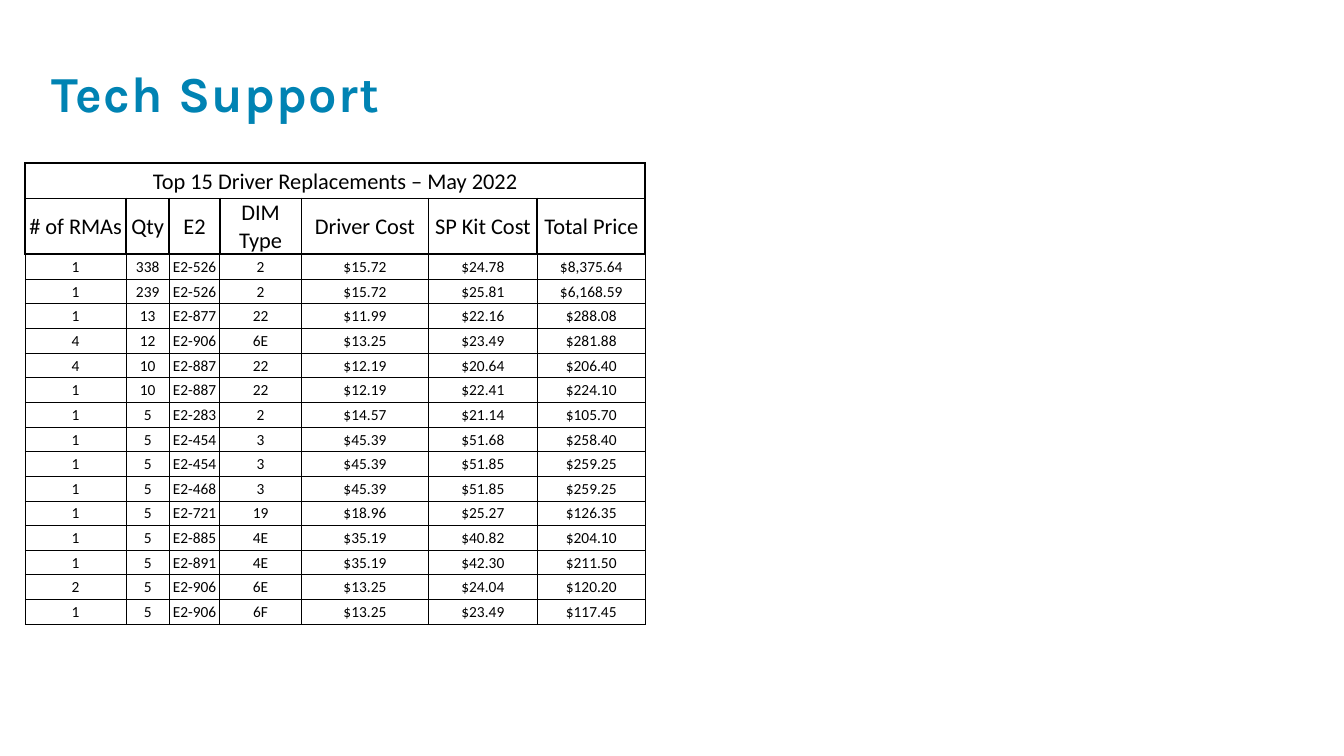
from lxml.etree import SubElement
from pptx import Presentation
from pptx.dml.color import RGBColor
from pptx.enum.text import MSO_ANCHOR, PP_ALIGN
from pptx.oxml.ns import qn
from pptx.util import Inches, Pt

BLUE = RGBColor(0x00, 0x83, 0xB3)
BLACK = RGBColor(0x00, 0x00, 0x00)
THIN, THICK = 0.5, 1.5

CAPTION = "Top 15 Driver Replacements – May 2022"
HEADERS = ["# of RMAs", "Qty", "E2", "DIM Type", "Driver Cost", "SP Kit Cost", "Total Price"]
DRIVERS = [
    ("1", "338", "E2-526", "2", "$15.72", "$24.78", "$8,375.64"),
    ("1", "239", "E2-526", "2", "$15.72", "$25.81", "$6,168.59"),
    ("1", "13", "E2-877", "22", "$11.99", "$22.16", "$288.08"),
    ("4", "12", "E2-906", "6E", "$13.25", "$23.49", "$281.88"),
    ("4", "10", "E2-887", "22", "$12.19", "$20.64", "$206.40"),
    ("1", "10", "E2-887", "22", "$12.19", "$22.41", "$224.10"),
    ("1", "5", "E2-283", "2", "$14.57", "$21.14", "$105.70"),
    ("1", "5", "E2-454", "3", "$45.39", "$51.68", "$258.40"),
    ("1", "5", "E2-454", "3", "$45.39", "$51.85", "$259.25"),
    ("1", "5", "E2-468", "3", "$45.39", "$51.85", "$259.25"),
    ("1", "5", "E2-721", "19", "$18.96", "$25.27", "$126.35"),
    ("1", "5", "E2-885", "4E", "$35.19", "$40.82", "$204.10"),
    ("1", "5", "E2-891", "4E", "$35.19", "$42.30", "$211.50"),
    ("2", "5", "E2-906", "6E", "$13.25", "$24.04", "$120.20"),
    ("1", "5", "E2-906", "6F", "$13.25", "$23.49", "$117.45"),
]
COLUMN_WIDTHS = [1, 0.43, 0.5, 0.81, 1.26, 1.08, 1.07]
CAPTION_HEIGHT, HEADER_HEIGHT, WRAPPED_HEADER_HEIGHT = 0.35, 0.33, 0.55


def add_run(p, text, font, size, color, bold=False):
    r = p.add_run()
    r.text = text
    r.font.name, r.font.size, r.font.bold = font, Pt(size), bold
    r.font.color.rgb = color
    return r


def set_borders(cell, **widths):
    """Draw black cell borders; keywords are L, R, T, B in points."""
    tcPr = cell._tc.get_or_add_tcPr()
    for i, side in enumerate("LRTB"):
        ln = tcPr.makeelement(qn(f"a:ln{side}"), {"w": str(Pt(widths[side]))})
        fill = SubElement(ln, qn("a:solidFill"))
        SubElement(fill, qn("a:srgbClr"), val=str(BLACK))
        tcPr.insert(i, ln)  # borders come before the fill


def fill_cell(cell, text, size):
    cell.fill.background()
    cell.margin_left = cell.margin_right = cell.margin_top = Inches(0.01)
    cell.margin_bottom = 0
    cell.vertical_anchor = MSO_ANCHOR.MIDDLE
    p = cell.text_frame.paragraphs[0]
    p.alignment = PP_ALIGN.CENTER
    if text:
        add_run(p, text, "Calibri", size, BLACK)


def add_title(s, text, left, top, width, height):
    title = s.shapes.title
    title.left, title.top = Inches(left), Inches(top)
    title.width, title.height = Inches(width), Inches(height)
    tf = title.text_frame
    tf.word_wrap = True
    tf.vertical_anchor = MSO_ANCHOR.BOTTOM
    p = tf.paragraphs[0]
    p.alignment = PP_ALIGN.LEFT
    p.line_spacing = 0.8
    r = add_run(p, text, "Karla", 36, BLUE, bold=True)
    r.font._element.set("spc", "100")


def add_driver_table(s, left, top, width, height):
    rows = [[CAPTION] + [""] * (len(HEADERS) - 1), HEADERS, *DRIVERS]
    frame = s.shapes.add_table(len(rows), len(HEADERS), Inches(left), Inches(top),
                               Inches(width), Inches(height))
    table = frame.table
    table.first_row = table.horz_banding = False

    # Column and row grid
    for column, share in zip(table.columns, COLUMN_WIDTHS):
        column.width = Inches(width * share / sum(COLUMN_WIDTHS))
    body_height = (height - CAPTION_HEIGHT - WRAPPED_HEADER_HEIGHT) / len(DRIVERS)
    heights = [CAPTION_HEIGHT, HEADER_HEIGHT] + [body_height] * len(DRIVERS)

    # Cells: heavy rules around the caption and headers, thin ones below
    for i, values in enumerate(rows):
        table.rows[i].height = Inches(heights[i])
        heading = i < 2
        edge = THICK if heading else THIN
        for j, text in enumerate(values):
            cell = table.cell(i, j)
            fill_cell(cell, text, 16 if heading else 11)
            set_borders(cell, L=edge, R=edge, B=edge, T=THICK if i <= 2 else THIN)
    table.cell(0, 0).merge(table.cell(0, len(HEADERS) - 1))


def main():
    prs = Presentation()
    prs.slide_width, prs.slide_height = Inches(13.33), Inches(7.5)
    s = prs.slides.add_slide(prs.slide_layouts[5])
    add_title(s, "Tech Support", 0.41, 0.17, 9.5, 1.09)
    add_driver_table(s, 0.25, 1.62, 6.15, 4.57)
    prs.save("out.pptx")


if __name__ == "__main__":
    main()
